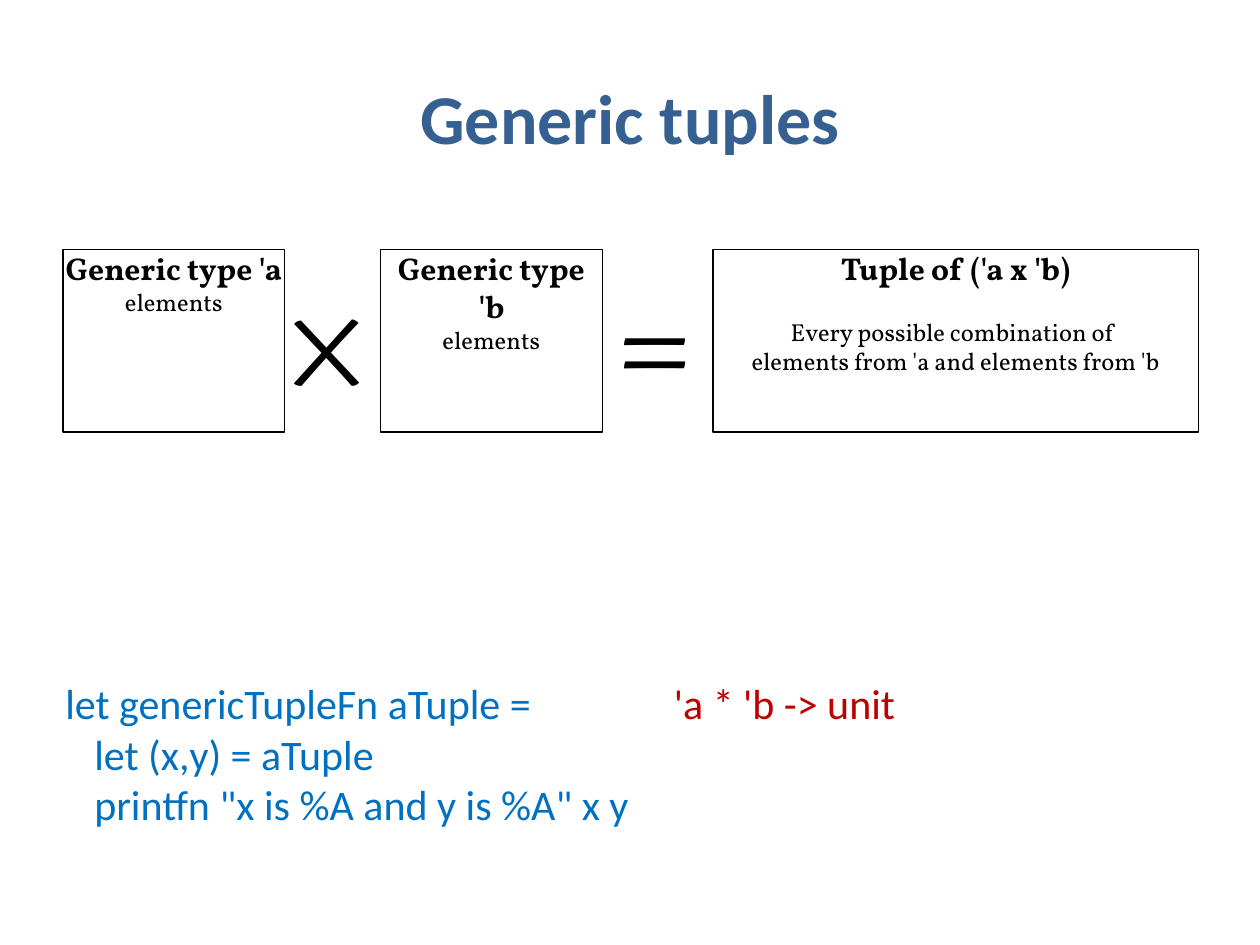
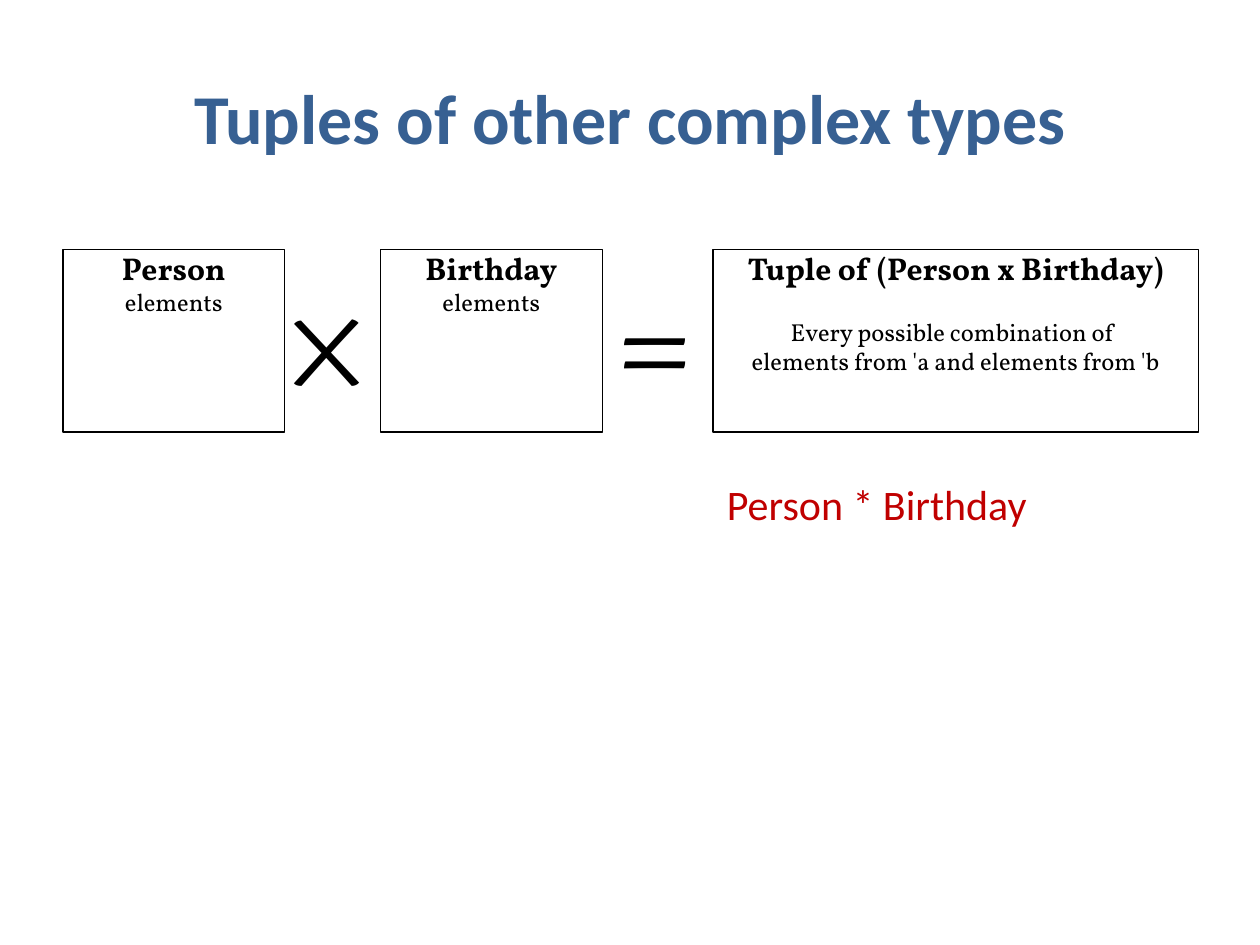
from pptx import Presentation
from pptx.dml.color import RGBColor as Color
from pptx.enum.shapes import MSO_SHAPE as Shape
from pptx.enum.text import MSO_ANCHOR as Anchor, PP_ALIGN as Align
from pptx.util import Inches, Pt

COLORS = {
    "title": "376092",
    "code": "0070C0",
    "signature": "C00000",
    "ink": "000000",
    "paper": "FFFFFF",
}
SANS, SERIF = "Calibri", "Vollkorn"
UNIT = Inches(0.1)
COLUMNS, ROWS = 100, 75
TITLE_ONLY = 5
EQUATION_TOP, EQUATION_HEIGHT = 19.8, 14.5
TYPE_WIDTH, TUPLE_WIDTH, SIGN_WIDTH = 17.6, 38.5, 6.2
TYPE_COLUMNS = (5, 30.2)
SIGNS = (("×", 22.9), ("=", 48.9))
TUPLE_COLUMN = 56.6
COMBINATION = "Every possible combination of \velements from 'a and elements from 'b"


def grid(*cells):
    return [round(cell * UNIT) for cell in cells]


def write(frame, text, size=24, font=SANS, color="ink", bold=False,
          align=Align.LEFT, before=0, indent=0):
    para = frame.paragraphs[0]
    if para.runs:
        para = frame.add_paragraph()
    para.text = text
    para.alignment = align
    para.space_before = Pt(before)
    if indent:
        para._p.get_or_add_pPr().set("marL", str(round(indent * UNIT)))
    for span in para.runs:
        span.font.size = Pt(size)
        span.font.name = font
        span.font.bold = bold
        span.font.color.rgb = Color.from_string(COLORS[color])


def set_margins(frame, side):
    frame.word_wrap = True
    frame.margin_left = frame.margin_right = Inches(side)
    frame.margin_top = frame.margin_bottom = 0


def add_page(deck, title):
    page = deck.slides.add_slide(deck.slide_layouts[TITLE_ONLY])
    box = page.shapes.title
    box.left, box.top, box.width, box.height = grid(5, 3, COLUMNS - 10, 12.5)
    box.text_frame.vertical_anchor = Anchor.MIDDLE
    write(box.text_frame, title, size=40, color="title", bold=True, align=Align.CENTER)
    return page


def add_set(group, column, width, heading, detail, before=0):
    box = group.shapes.add_shape(
        Shape.RECTANGLE, *grid(column, EQUATION_TOP, width, EQUATION_HEIGHT))
    box.shadow.inherit = False
    box.fill.solid()
    box.fill.fore_color.rgb = Color.from_string(COLORS["paper"])
    box.line.color.rgb = Color.from_string(COLORS["ink"])
    box.line.width = Pt(0.75)
    frame = box.text_frame
    set_margins(frame, 0.02)
    frame.vertical_anchor = Anchor.TOP
    write(frame, heading, size=18, font=SERIF, bold=True, align=Align.CENTER)
    write(frame, detail, size=14, font=SERIF, align=Align.CENTER, before=before)


def add_sign(group, sign, column):
    box = group.shapes.add_textbox(
        *grid(column, EQUATION_TOP, SIGN_WIDTH, EQUATION_HEIGHT))
    set_margins(box.text_frame, 0)
    write(box.text_frame, sign, size=80, font=SERIF)


def add_equation(page, factors, product):
    group = page.shapes.add_group_shape()
    for column, factor in zip(TYPE_COLUMNS, factors):
        add_set(group, column, TYPE_WIDTH, factor, "elements")
    add_set(group, TUPLE_COLUMN, TUPLE_WIDTH, product, COMBINATION, before=17)
    for sign, column in SIGNS:
        add_sign(group, sign, column)


def add_code(page, place, lines, color):
    box = page.shapes.add_textbox(*grid(*place))
    box.text_frame.word_wrap = True
    for number, line in enumerate(lines):
        write(box.text_frame, line, color=color, indent=2.3 if number else 0)


def main():
    deck = Presentation()
    deck.slide_width, deck.slide_height = grid(COLUMNS, ROWS)

    generic = add_page(deck, "Generic tuples")
    add_code(generic, (4.2, 53.3, 49.2, 17.2), (
        "let genericTupleFn aTuple =",
        "let (x,y) = aTuple",
        'printfn "x is %A and y is %A" x y',
    ), "code")
    add_code(generic, (52.5, 53.3, 27.5, 9.1), ("'a * 'b -> unit",), "signature")
    add_equation(generic, ("Generic type 'a", "Generic type 'b"), "Tuple of ('a x 'b)")

    complex_types = add_page(deck, "Tuples of other complex types")
    add_equation(complex_types, ("Person", "Birthday"), "Tuple of (Person x Birthday)")
    add_code(complex_types, (56.7, 37.5, 27.5, 5), ("Person * Birthday",), "signature")

    deck.save("out.pptx")


main()
